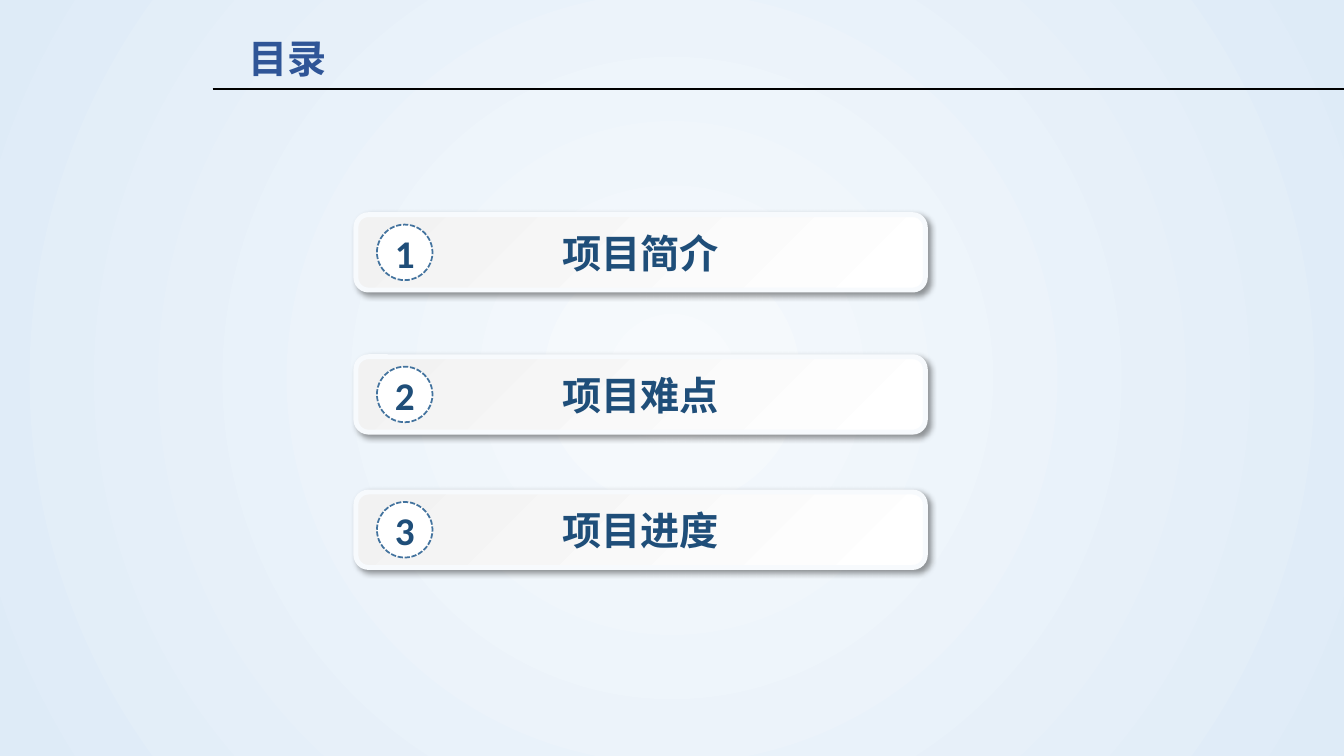
"""Build the agenda slide with three numbered project topics."""
from dataclasses import dataclass

from lxml.etree import SubElement
from pptx import Presentation
from pptx.dml.color import RGBColor
from pptx.enum.dml import MSO_LINE_DASH_STYLE as Dash
from pptx.enum.shapes import MSO_CONNECTOR as Connector, MSO_SHAPE as Shape
from pptx.enum.text import MSO_ANCHOR as Anchor, MSO_AUTO_SIZE as AutoSize, PP_ALIGN as Align
from pptx.oxml import parse_xml
from pptx.oxml.ns import nsdecls, qn
from pptx.util import Cm, Pt

TITLE = "目录"
TOPICS = [("项目简介", 5.41), ("项目难点", 8.99), ("项目进度", 12.4)]

SLIDE_WIDTH, SLIDE_HEIGHT = 33.87, 19.05
RULE_LEFT, RULE_TOP = 5.36, 2.24
BAR_LEFT, BAR_WIDTH, BAR_HEIGHT = 8.97, 14.35, 1.9
BADGE_LEFT, BADGE_SIZE = 9.5, 1.4


@dataclass(frozen=True)
class Theme:
    backdrop: tuple = ("F7FAFD", "DEEBF7")
    bar: tuple = ("F2F2F2", "FFFFFF")
    bar_edge: str = "F7FAFD"
    badge: str = "FFFFFF"
    badge_edge: str = "43739E"
    rule: str = "000000"
    title: str = "2F5597"
    topic: str = "1F4E79"
    chinese_font: str = "Noto Sans CJK SC"
    number_font: str = "Calibri"
    size: int = 28
    bar_line: float = 3.5
    thin_line: float = 1.25


THEME = Theme()


def rgb(color):
    return RGBColor.from_string(color)


def set_gradient(fill, colors):
    fill.gradient()
    for stop, color in zip(fill.gradient_stops, colors):
        stop.color.rgb = rgb(color)


def set_line(line, color, width):
    line.color.rgb = rgb(color)
    line.width = Pt(width)


def write(frame, text, font_name, color, align=Align.LEFT):
    paragraph = frame.paragraphs[0]
    paragraph.text = text
    paragraph.alignment = align
    font = paragraph.font
    font.name, font.size, font.bold = font_name, Pt(THEME.size), True
    font.color.rgb = rgb(color)
    properties = paragraph._p.xpath("./a:pPr/a:defRPr")[0]
    SubElement(properties, qn("a:ea"), typeface=font_name)


def add_label_shape(group, preset, box, text, font_name):
    shape = group.shapes.add_shape(preset, *map(Cm, box))
    shape.shadow.inherit = False
    shape.text_frame.vertical_anchor = Anchor.MIDDLE
    write(shape.text_frame, text, font_name, THEME.topic, Align.CENTER)
    return shape


def add_shadow(shape):
    effects = shape._element.spPr.find(qn("a:effectLst"))
    effects.append(parse_xml(
        f'<a:outerShdw {nsdecls("a")} blurRad="{Pt(4)}" dist="{Pt(3)}" dir="2700000" '
        'algn="tl" rotWithShape="0"><a:srgbClr val="000000"><a:alpha val="40000"/>'
        '</a:srgbClr></a:outerShdw>'))


def add_topic(slide, number, text, top):
    group = slide.shapes.add_group_shape()
    bar = add_label_shape(group, Shape.ROUNDED_RECTANGLE,
                          (BAR_LEFT, top, BAR_WIDTH, BAR_HEIGHT), text, THEME.chinese_font)
    set_gradient(bar.fill, THEME.bar)
    bar.fill.gradient_angle = 315
    set_line(bar.line, THEME.bar_edge, THEME.bar_line)
    add_shadow(bar)

    badge_top = top + (BAR_HEIGHT - BADGE_SIZE) / 2
    badge = add_label_shape(group, Shape.OVAL,
                            (BADGE_LEFT, badge_top, BADGE_SIZE, BADGE_SIZE),
                            str(number), THEME.number_font)
    badge.fill.solid()
    badge.fill.fore_color.rgb = rgb(THEME.badge)
    set_line(badge.line, THEME.badge_edge, THEME.thin_line)
    badge.line.dash_style = Dash.SQUARE_DOT


def set_backdrop(slide):
    set_gradient(slide.background.fill, THEME.backdrop)
    linear = slide.element.xpath("./p:cSld/p:bg//a:lin")[0]
    linear.getparent().replace(linear, parse_xml(
        f'<a:path {nsdecls("a")} path="circle">'
        '<a:fillToRect l="50000" t="50000" r="50000" b="50000"/></a:path>'))


def add_header(slide):
    rule = slide.shapes.add_connector(
        Connector.STRAIGHT, Cm(RULE_LEFT), Cm(RULE_TOP), Cm(SLIDE_WIDTH), Cm(RULE_TOP))
    set_line(rule.line, THEME.rule, THEME.thin_line)
    SubElement(rule._element.spPr, qn("a:effectLst"))
    title = slide.shapes.add_textbox(Cm(6.02), Cm(0.74), Cm(7.72), Cm(1.45))
    title.text_frame.word_wrap = True
    title.text_frame.auto_size = AutoSize.SHAPE_TO_FIT_TEXT
    write(title.text_frame, TITLE, THEME.chinese_font, THEME.title)


presentation = Presentation()
presentation.slide_width, presentation.slide_height = Cm(SLIDE_WIDTH), Cm(SLIDE_HEIGHT)
slide = presentation.slides.add_slide(presentation.slide_layouts[6])
set_backdrop(slide)
add_header(slide)
for number, (text, top) in enumerate(TOPICS, start=1):
    add_topic(slide, number, text, top)
presentation.save("out.pptx")
